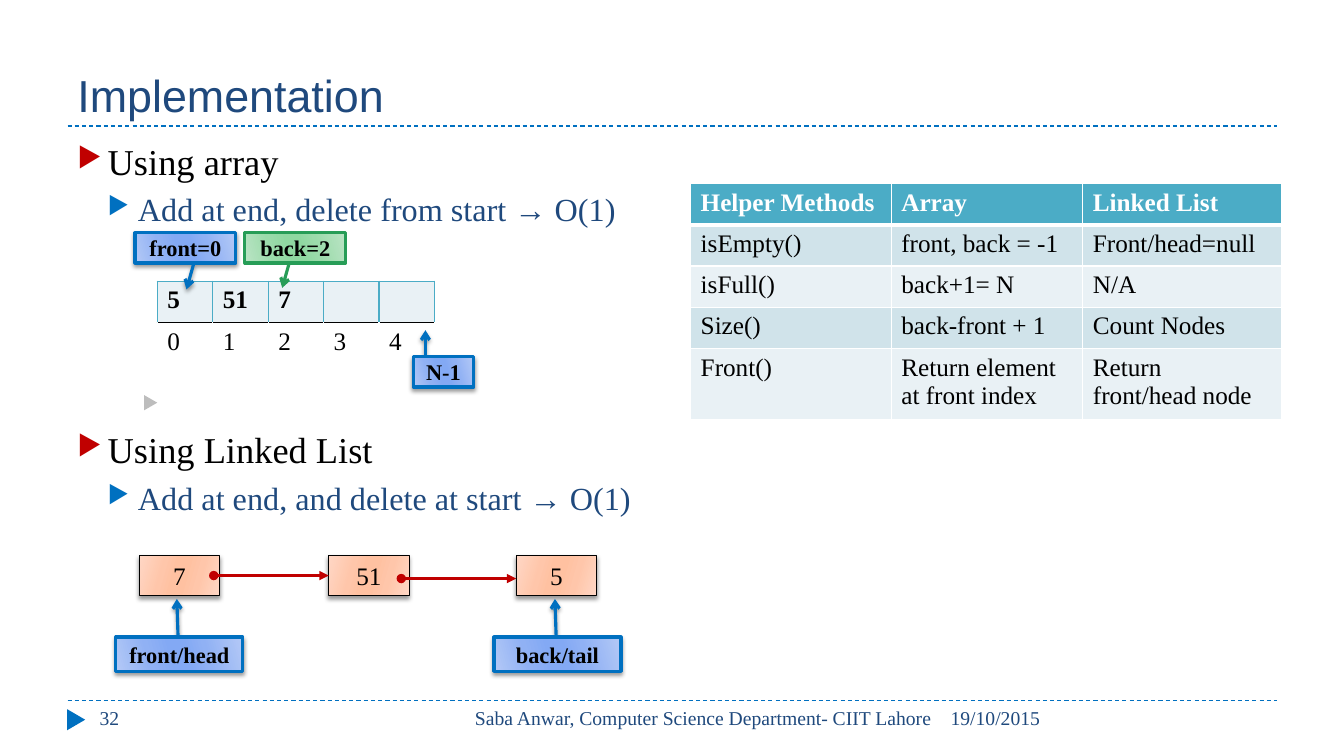
from lxml import etree
from pptx import Presentation
from pptx.dml.color import RGBColor
from pptx.enum.dml import MSO_LINE
from pptx.enum.shapes import MSO_CONNECTOR, MSO_SHAPE
from pptx.enum.text import MSO_ANCHOR, PP_ALIGN
from pptx.oxml.ns import qn
from pptx.util import Pt

PX = 9144
STRAIGHT = MSO_CONNECTOR.STRAIGHT
RECT, TRIANGLE = MSO_SHAPE.RECTANGLE, MSO_SHAPE.ISOSCELES_TRIANGLE
CALLOUT = MSO_SHAPE.LINE_CALLOUT_1
DASH = MSO_LINE.DASH
TOP, MIDDLE, BOTTOM = MSO_ANCHOR.TOP, MSO_ANCHOR.MIDDLE, MSO_ANCHOR.BOTTOM
LEFT, CENTER, RIGHT = PP_ALIGN.LEFT, PP_ALIGN.CENTER, PP_ALIGN.RIGHT
SERIF, SANS = "Times New Roman", "Arial"

BLACK = RGBColor(0x00, 0x00, 0x00)
WHITE = RGBColor(0xFF, 0xFF, 0xFF)
NAVY = RGBColor(0x1F, 0x49, 0x7D)
BLUE = RGBColor(0x00, 0x70, 0xC0)
RED = RGBColor(0xC0, 0x00, 0x00)
GREEN = RGBColor(0x27, 0x9D, 0x57)
GRAY = RGBColor(0xBD, 0xBD, 0xBD)
TEAL = RGBColor(0x4B, 0xAC, 0xC6)
BAND = RGBColor(0xD0, 0xE3, 0xEA)
PALE = RGBColor(0xE9, 0xF1, 0xF5)
BLUE_SHADES = [RGBColor(0xB4, 0xC9, 0xF6), RGBColor(0x90, 0xB1, 0xF4), RGBColor(0x83, 0xA9, 0xF4)]
GREEN_SHADES = [RGBColor(0xBB, 0xE4, 0xC5), RGBColor(0x9B, 0xDB, 0xAB), RGBColor(0x8F, 0xD8, 0xA1)]
PEACH_SHADES = [RGBColor(0xFF, 0xD7, 0xC5), RGBColor(0xFF, 0xC6, 0xAA), RGBColor(0xFF, 0xC1, 0xA1)]


def emu(*lengths):
    """Turn px lengths into EMU."""
    return [n * PX for n in lengths]


def add_xml(parent, tag, **attrs):
    """Append a child element with the given attributes."""
    return etree.SubElement(parent, qn(tag), {k: str(v) for k, v in attrs.items()})


def add_color(parent, color):
    """Append an RGB colour element."""
    return add_xml(parent, "a:srgbClr", val=color)


def style(p, size, color, bold=False, font=SERIF, align=LEFT):
    """Format a paragraph and its runs."""
    p.alignment = align
    for r in p.runs:
        r.font.name, r.font.size, r.font.bold = font, Pt(size), bold
        r.font.color.rgb = color


def add_text(s, box, text, size, font=SERIF, align=LEFT, anchor=TOP):
    """Add a one-paragraph navy text box."""
    tf = s.shapes.add_textbox(*emu(*box)).text_frame
    tf.word_wrap, tf.vertical_anchor = True, anchor
    tf.text = text
    style(tf.paragraphs[0], size, NAVY, font=font, align=align)


def add_bullet(p, indent, color):
    """Give a paragraph a triangle bullet with a hanging indent."""
    pPr = p._p.get_or_add_pPr()
    pPr.set("marL", str(indent * PX))
    pPr.set("indent", str(-30 * PX))
    add_color(add_xml(pPr, "a:buClr"), color)
    add_xml(pPr, "a:buSzPct", val=76000)
    add_xml(pPr, "a:buChar", char="▶")


def add_topic(s, y, heading, detail):
    """Add a heading bullet with one detail bullet below it."""
    tf = s.shapes.add_textbox(*emu(67, y, 620, 100)).text_frame
    tf.word_wrap = True
    tf.text = heading
    p = tf.paragraphs[0]
    add_bullet(p, 30, RED)
    style(p, 26, BLACK)
    p = tf.add_paragraph()
    p.text = detail
    p.space_before = Pt(5)
    add_bullet(p, 60, BLUE)
    style(p, 23, NAVY)


def add_line(s, begin, end, color, width):
    """Add a straight line without a shadow."""
    line = s.shapes.add_connector(STRAIGHT, *emu(*begin, *end))
    line.line.color.rgb, line.line.width = color, Pt(width)
    add_xml(line._element.spPr, "a:effectLst")
    return line


def add_link(s, begin, end):
    """Add a red pointer from one node to the next."""
    link = add_line(s, begin, end, RED, 2.25)
    ln = link.line._get_or_add_ln()
    add_xml(ln, "a:headEnd", type="oval")
    add_xml(ln, "a:tailEnd", type="triangle")
    return link


def add_marker(s, box, color):
    """Add a triangle that points right."""
    sp = s.shapes.add_shape(TRIANGLE, *emu(*box))
    sp.rotation = 90
    sp.shadow.inherit = False
    sp.fill.solid()
    sp.fill.fore_color.rgb = color
    sp.line.fill.background()


def add_box(s, kind, box, text, size, shades, line, width, bold=False, shadow=True):
    """Add a gradient box with centred text."""
    sp = s.shapes.add_shape(kind, *emu(*box))
    sp.fill.gradient()
    sp.fill.gradient_angle = 344
    stops = sp._element.spPr.find(".//" + qn("a:gsLst"))
    for stop in list(stops):
        stops.remove(stop)
    for pos, color in zip((0, 30, 45, 55, 73, 100), shades + shades[::-1]):
        add_color(add_xml(stops, "a:gs", pos=pos * 1000), color)
    sp.line.color.rgb, sp.line.width = line, Pt(width)
    sp.shadow.inherit = False
    if shadow:
        effects = sp._element.spPr.find(qn("a:effectLst"))
        outer = add_xml(effects, "a:outerShdw", blurRad=Pt(3), dist=Pt(2), dir=5400000, rotWithShape=0)
        add_xml(add_color(outer, BLACK), "a:alpha", val=40000)
    tf = sp.text_frame
    tf.margin_left = tf.margin_right = tf.margin_top = tf.margin_bottom = 0
    tf.vertical_anchor = MIDDLE
    tf.text = text
    style(tf.paragraphs[0], size, BLACK, bold, align=CENTER)
    return sp


def add_callout(s, box, text, pointer, shades=BLUE_SHADES, line=BLUE, shadow=True):
    """Add a mirrored callout whose pointer ends in an arrow."""
    sp = add_box(s, CALLOUT, box, text, 16, shades, line, 2.25, True, shadow)
    for i, value in enumerate(pointer):
        sp.adjustments[i] = value
    sp._element.spPr.find(qn("a:xfrm")).set("flipH", "1")
    add_xml(sp.line._get_or_add_ln(), "a:tailEnd", type="arrow")


def fill_cell(cell, text, color, bold, fill, borders):
    """Write a cell and set its borders and fill."""
    cell.text = text
    style(cell.text_frame.paragraphs[0], 18, color, bold)
    tcPr = cell._tc.get_or_add_tcPr()
    for side, (border, width) in borders.items():
        ln = add_xml(tcPr, "a:ln" + side, w=Pt(width))
        add_color(add_xml(ln, "a:solidFill"), border)
    if fill is None:
        cell.fill.background()
    else:
        cell.fill.solid()
        cell.fill.fore_color.rgb = fill


def add_grid(s, x, y, widths, heights, rows, looks):
    """Add a table; each look is the colour, bold, fill and borders of a row."""
    frame = s.shapes.add_table(len(heights), len(widths), *emu(x, y, sum(widths), sum(heights)))
    table = frame.table
    table.first_row = table.horz_banding = False
    for column, width in zip(table.columns, widths):
        column.width = width * PX
    for row, height, texts, look in zip(table.rows, heights, rows, looks):
        row.height = height * PX
        for cell, text in zip(row.cells, texts):
            fill_cell(cell, text, *look)


def main():
    """Build the slide."""
    prs = Presentation()
    prs.slide_width, prs.slide_height = emu(1333, 750)
    s = prs.slides.add_slide(prs.slide_layouts[6])
    for y in (695, 125):
        add_line(s, (67, y), (1267, y), BLUE, 0.75).line.dash_style = DASH
    add_marker(s, (65, 705, 21, 18), BLUE)
    add_text(s, (67, 17, 1200, 108), "Implementation", 32, SANS, anchor=BOTTOM)
    add_text(s, (933, 695, 334, 40), "19/10/2015", 14)
    add_text(s, (423, 695, 511, 40), "Saba Anwar, Computer Science Department- CIIT Lahore", 14, align=RIGHT)
    add_text(s, (89, 695, 289, 40), "32", 14)

    add_topic(s, 133, "Using array", "Add at end, delete from start → O(1)")
    add_marker(s, (142, 393, 15, 13), GRAY)
    add_topic(s, 419, "Using Linked List", "Add at end, and delete at start → O(1)")

    slots = {**dict.fromkeys("LRT", (TEAL, 1)), "B": (BLACK, 1)}
    add_grid(s, 156, 279, [55] * 5, [41] * 2,
             [["5", "51", "7", "", ""], ["0", "1", "2", "3", "4"]],
             [(BLACK, True, PALE, slots), (BLACK, False, None, {"T": (BLACK, 1)})])
    add_callout(s, (410, 354, 60, 30), "N-1", (0.03, 0.8, -0.88, 0.8))

    nodes = [add_box(s, RECT, (x, 551, 80, 40), text, 18, PEACH_SHADES, BLACK, 0.75)
             for x, text in ((138, "7"), (326, "51"), (512, "5"))]
    add_link(s, (212, 571), (326, 571)).end_connect(nodes[1], 1)
    add_link(s, (398, 574), (512, 574))
    for x, text in ((115, "front/head"), (490, "back/tail")):
        add_callout(s, (x, 632, 126, 34), text, (0.05, 0.51, -1.11, 0.52))
    add_callout(s, (134, 231, 100, 30), "front=0", (1.04, 0.42, 1.87, 0.49))
    add_callout(s, (243, 231, 100, 30), "back=2", (0.99, 0.56, 1.82, 0.63), GREEN_SHADES, GREEN, False)

    edges = dict.fromkeys("LRTB", (WHITE, 1))
    header = (WHITE, True, TEAL, {**edges, "B": (WHITE, 3)})
    bands = [(BLACK, False, fill, edges) for fill in (BAND, PALE)]
    add_grid(s, 685, 182, [199, 190, 197], [41] * 4 + [65],
             [["Helper Methods", "Array", "Linked List"],
              ["isEmpty()", "front, back = -1", "Front/head=null"],
              ["isFull()", "back+1= N", "N/A"],
              ["Size()", "back-front + 1", "Count Nodes"],
              ["Front()", "Return element at front index", "Return front/head node"]],
             [header] + bands * 2)
    prs.save("out.pptx")


if __name__ == "__main__":
    main()
